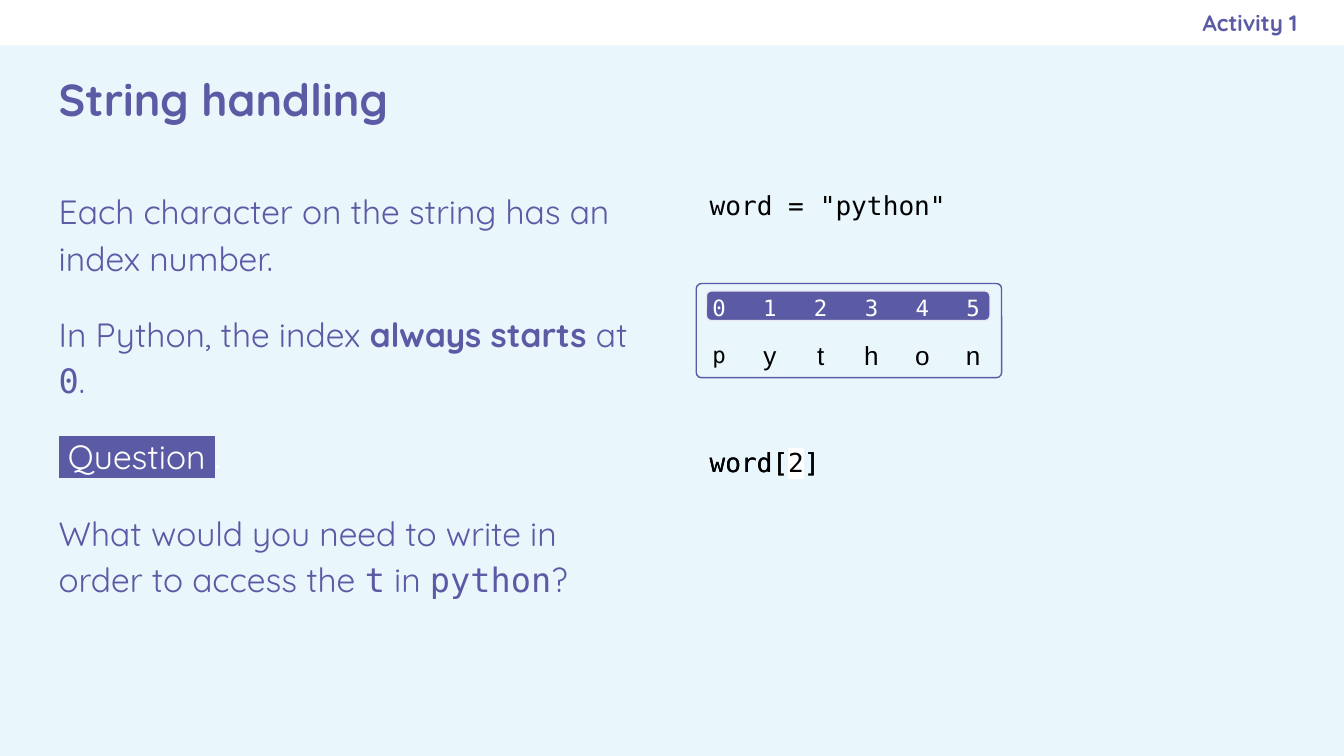
from lxml.etree import SubElement
from pptx import Presentation
from pptx.dml.color import RGBColor
from pptx.enum.shapes import MSO_SHAPE
from pptx.enum.text import MSO_ANCHOR, MSO_AUTO_SIZE, PP_ALIGN
from pptx.oxml.ns import qn
from pptx.util import Cm, Pt

PURPLE = "5B5BA5"
WHITE = "FFFFFF"
BLACK = "000000"
SANS = "Quicksand"
MONO = "DejaVu Sans Mono"
NO_GRID = "{2D5ABB26-0587-4C30-8999-92F81FD0307C}"


def color(code):
    return RGBColor.from_string(code)


class Deck:
    def __init__(self, width, height, back):
        self.file = Presentation()
        self.file.slide_width = Cm(width)
        self.file.slide_height = Cm(height)
        self.slide = self.file.slides.add_slide(self.file.slide_layouts[4])
        fill = self.slide.background.fill
        fill.solid()
        fill.fore_color.rgb = color(back)

    def style(self, run, size, face=SANS, tint=PURPLE, bold=False, mark=None):
        font = run.font
        font.size = Pt(size)
        font.name = face
        font.bold = bold
        font.color.rgb = color(tint)
        if mark:
            props = run._r.get_or_add_rPr()
            light = SubElement(props, qn("a:highlight"))
            SubElement(light, qn("a:srgbClr")).set("val", mark)
            props.find(qn("a:solidFill")).addnext(light)

    def line(self, para, parts, align=PP_ALIGN.LEFT, lead=1.15, gap=0, **base):
        props = para._p.get_or_add_pPr()
        props.set("marL", "0")
        props.set("indent", "0")
        SubElement(props, qn("a:buNone"))
        para.alignment = align
        para.line_spacing = lead
        para.space_before = Pt(gap)
        para.space_after = Pt(0)
        for text, change in parts:
            run = para.add_run()
            run.text = text
            self.style(run, **{**base, **change})

    def text(self, shape, box, paras, anchor=MSO_ANCHOR.TOP, right=0.25, gap=0, **base):
        shape.left, shape.top, shape.width, shape.height = map(Cm, box)
        frame = shape.text_frame
        frame.word_wrap = True
        frame.auto_size = MSO_AUTO_SIZE.NONE
        frame.vertical_anchor = anchor
        frame.margin_left = frame.margin_top = frame.margin_bottom = Cm(0.25)
        frame.margin_right = Cm(right)
        for i, parts in enumerate(paras):
            para = frame.add_paragraph() if i else frame.paragraphs[0]
            self.line(para, parts, gap=gap if i else 0, **base)

    def holder(self, index, box, paras, **base):
        self.text(self.slide.placeholders[index], box, paras, **base)

    def label(self, box, paras, **base):
        shape = self.slide.shapes.add_textbox(*map(Cm, box))
        self.text(shape, box, paras, **base)

    def block(self, box, fill=None, edge=None, curve=None):
        kind = MSO_SHAPE.RECTANGLE if curve is None else MSO_SHAPE.ROUNDED_RECTANGLE
        shape = self.slide.shapes.add_shape(kind, *map(Cm, box))
        shape.shadow.inherit = False
        if curve is not None:
            shape.adjustments[0] = curve
        if fill:
            shape.fill.solid()
            shape.fill.fore_color.rgb = color(fill)
        else:
            shape.fill.background()
        if edge:
            shape.line.color.rgb = color(edge)
            shape.line.width = Pt(0.75)
        else:
            shape.line.fill.background()
        return shape

    def band(self, box, fill):
        item = self.block(box, fill).element
        item.getparent().insert(2, item)

    def table(self, box, rows):
        frame = self.slide.shapes.add_table(len(rows), len(rows[0]), *map(Cm, box))
        grid = frame.table
        grid.first_row = grid.horz_banding = False
        grid._tbl.tblPr.find(qn("a:tableStyleId")).text = NO_GRID
        for r, row in enumerate(rows):
            for c, (text, look) in enumerate(row):
                cell = grid.cell(r, c)
                cell.fill.background()
                cell.vertical_anchor = MSO_ANCHOR.MIDDLE
                cell.margin_left, cell.margin_right = Cm(0.15), Cm(0.25)
                cell.margin_top = cell.margin_bottom = 0
                para = cell.text_frame.paragraphs[0]
                self.line(para, [(text, {})], align=PP_ALIGN.CENTER, **look)


def main():
    deck = Deck(25.4, 14.29, "E9F7FC")
    deck.band((0, 0, 25.4, 0.86), WHITE)
    code = {"face": MONO}
    deck.holder(0, (0.86, 0.89, 23.67, 1.93), [[("String handling", {})]],
                anchor=MSO_ANCHOR.MIDDLE, lead=1, size=24, bold=True)
    deck.holder(1, (14.61, 0, 9.91, 0.86), [[("Activity 1", {})]], right=0,
                anchor=MSO_ANCHOR.MIDDLE, align=PP_ALIGN.RIGHT, lead=1, size=12, bold=True)
    deck.holder(2, (0.86, 3.25, 11.38, 10.16), [
        [("Each character on the string has an index number.", {})],
        [("In Python, the index ", {}), ("always starts", {"bold": True}),
         (" at ", {}), ("0", code), (".", {})],
        [(" Question ", {"tint": WHITE, "mark": PURPLE}), (".", {"tint": WHITE})],
        [("What would you need to write in order to access the ", {}), ("t", code),
         (" in ", {}), ("python", code), ("?", {})],
    ], gap=16, size=18)

    look = {"size": 14, "face": MONO, "tint": BLACK}
    left = 13.16
    deck.holder(3, (left, 3.25, 11.38, 1.4), [[('word = "python"', {})]], **look)
    spot = (left, 8.1, 11.38, 1.12)
    deck.holder(4, spot, [[("word[", {}), (" ", {"mark": WHITE}), ("]", {})]], **look)
    deck.label(spot, [[("word[2]", {})]], **look)

    deck.block((13.35, 5.5, 5.36, 0.56), PURPLE, "E9E9F3", 0.167)
    deck.block((left, 5.36, 5.77, 1.78), edge=PURPLE, curve=0.054)
    head = {"size": 12, "face": MONO, "tint": WHITE}
    first = {**head, "tint": BLACK}
    rest = {"size": 14, "face": "Arial", "tint": BLACK}
    word = "python"
    deck.table((left, 5.36, 5.76, 1.78), [
        [(str(i), head) for i in range(len(word))],
        [(char, rest if i else first) for i, char in enumerate(word)],
    ])
    deck.file.save("out.pptx")


if __name__ == "__main__":
    main()
